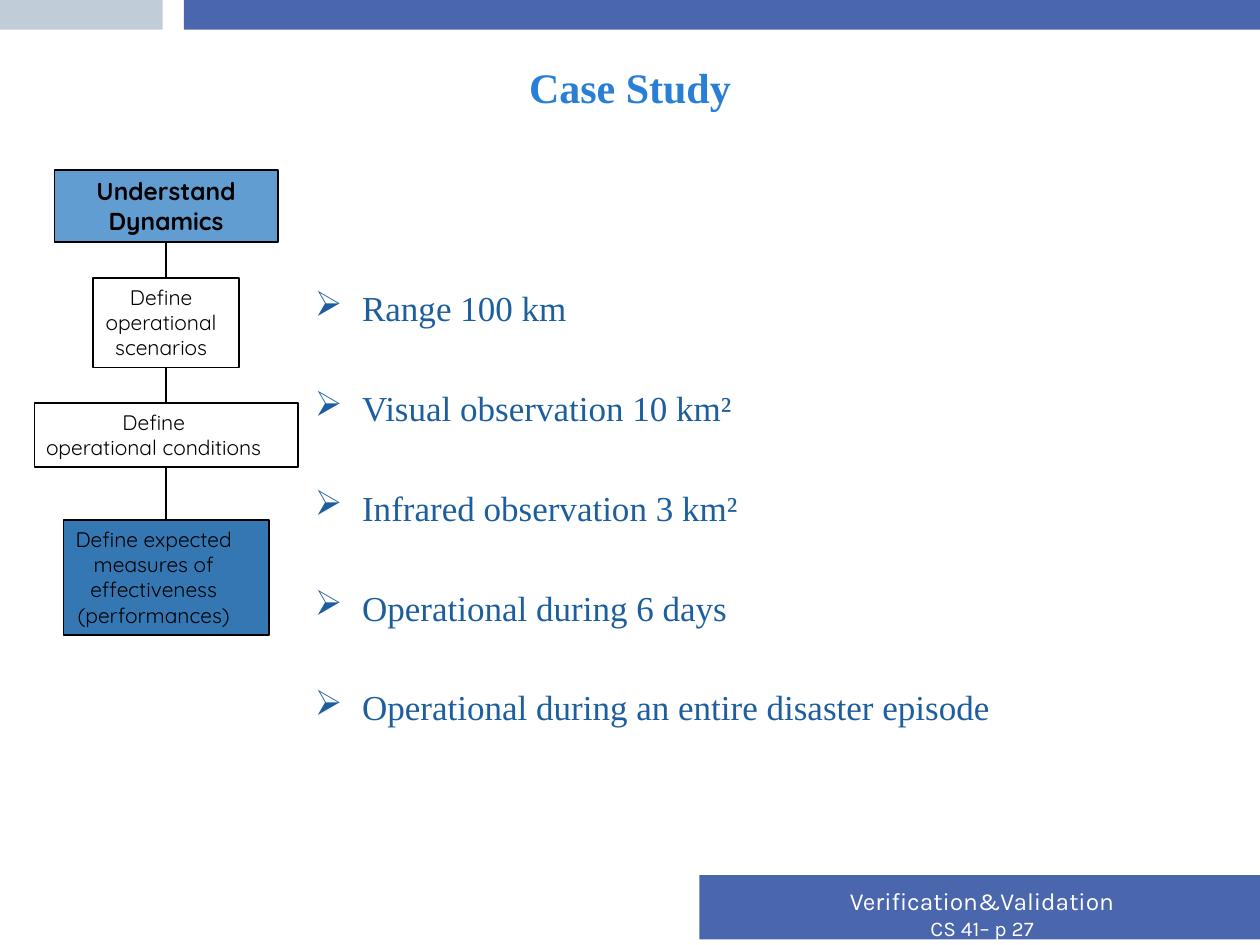
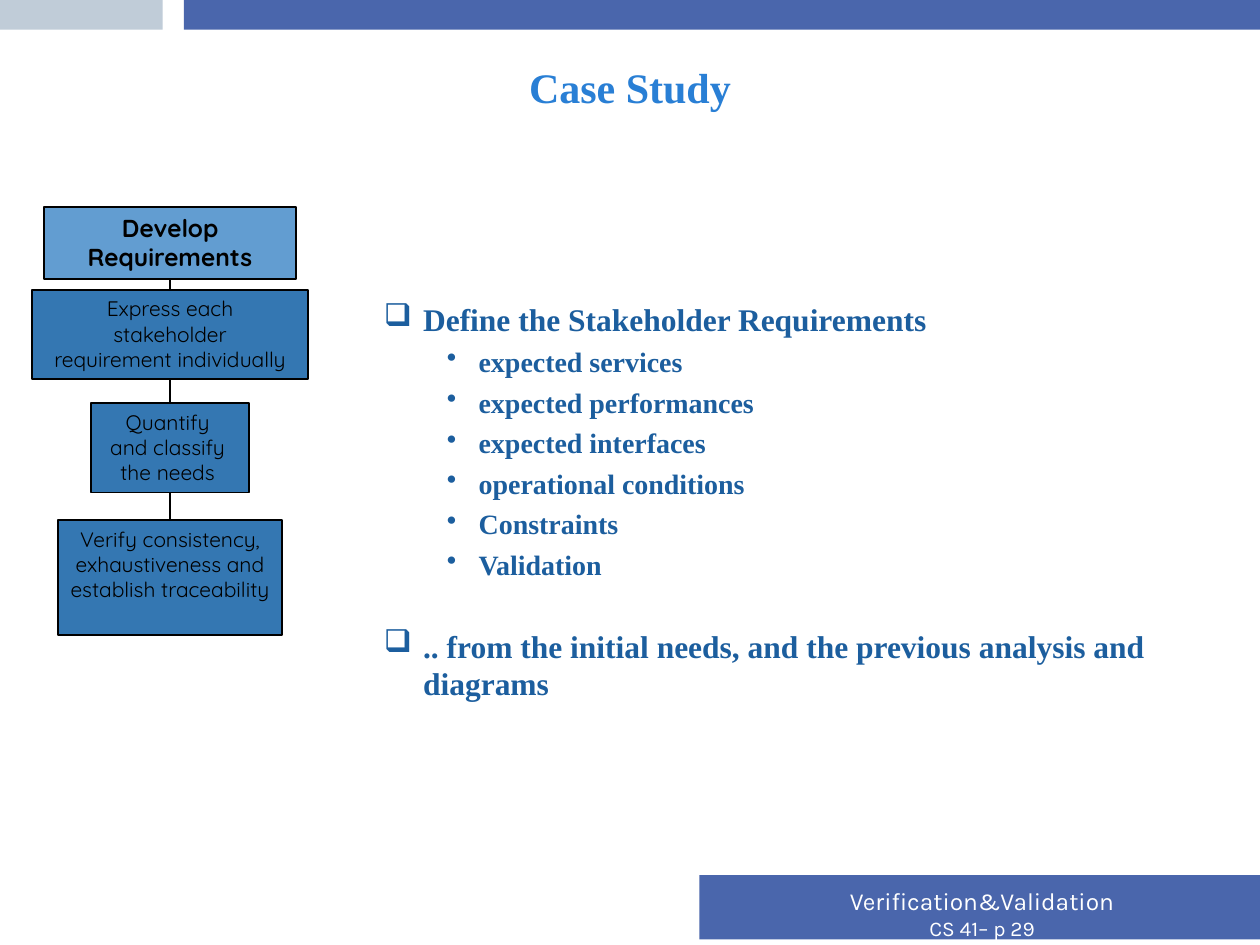
import pptx
import pptx.util
import pptx.dml.color
import pptx.enum.shapes
import pptx.enum.text
import pptx.oxml.ns
from lxml import etree

Cm, Pt = pptx.util.Cm, pptx.util.Pt
RGBColor = pptx.dml.color.RGBColor
CENTER = pptx.enum.text.PP_ALIGN.CENTER
RECT = pptx.enum.shapes.MSO_SHAPE.RECTANGLE
STRAIGHT = pptx.enum.shapes.MSO_CONNECTOR.STRAIGHT
qn = pptx.oxml.ns.qn

BAND = RGBColor(0x4A, 0x66, 0xAC)
GREY = RGBColor(0xC0, 0xCC, 0xD8)
TITLE = RGBColor(0x29, 0x7F, 0xD5)
BODY = RGBColor(0x1C, 0x5E, 0x9E)
HEAD = RGBColor(0x62, 0x9D, 0xD1)
ACTIVE = RGBColor(0x34, 0x77, 0xB2)
WHITE = RGBColor(0xFF, 0xFF, 0xFF)
BLACK = RGBColor(0, 0, 0)
SERIF = "Times New Roman"

# Bullet levels: sign, left indent, hanging indent (cm), size, bold
ARROW = ("➢", 0.95, 0.95, 20, False)
SQUARE = ("❑", 2.06, 0.79, 18, True)
DOT = ("•", 3.18, 0.64, 16, True)

# Flow boxes: text, width, top, height (cm), fill, shift of the text to the left
# Bullets: text, level, space before (pt)
slides = [
    {"page": 27, "axis": 3.35, "body": (6.1, 5.66),
     "flow": [
         ("Understand Dynamics", 4.5, 3.43, 1.45, HEAD, 0),
         ("Define\noperational\nscenarios", 2.95, 5.61, 1.8, WHITE, 0.1),
         ("Define\noperational conditions", 5.31, 8.13, 1.28, WHITE, 0.25),
         ("Define expected\nmeasures of\neffectiveness\n(performances)",
          4.14, 10.49, 2.31, ACTIVE, 0.25)],
     "bullets": [
         ("Range 100 km", ARROW, 0),
         ("Visual observation 10 km²", ARROW, 33),
         ("Infrared observation 3 km²", ARROW, 33),
         ("Operational during 6 days", ARROW, 33),
         ("Operational during an entire disaster episode", ARROW, 33)]},
    {"page": 29, "axis": 3.43, "body": (6.22, 5.92),
     "flow": [
         ("Develop Requirements", 5.08, 4.17, 1.45, HEAD, 0),
         ("Express each\nstakeholder\nrequirement individually", 5.56, 5.84, 1.8, ACTIVE, 0),
         ("Quantify\nand classify\nthe needs", 3.18, 8.13, 1.8, ACTIVE, 0.05),
         ("Verify consistency,\nexhaustiveness and establish traceability",
          4.52, 10.49, 2.31, ACTIVE, 0)],
     "bullets": [
         ("Define the Stakeholder Requirements", SQUARE, 0),
         ("expected services", DOT, 4),
         ("expected performances", DOT, 4),
         ("expected interfaces", DOT, 4),
         ("operational conditions", DOT, 4),
         ("Constraints", DOT, 4),
         ("Validation", DOT, 4),
         (".. from the initial needs, and the previous analysis and diagrams", SQUARE, 26)]},
]


def add_rect(s, x, y, w, h, fill, line=None):
    sp = s.shapes.add_shape(RECT, Cm(x), Cm(y), Cm(w), Cm(h))
    sp.shadow.inherit = False
    sp.fill.solid()
    sp.fill.fore_color.rgb = fill
    if line is None:
        sp.line.fill.background()
    else:
        sp.line.color.rgb = line
        sp.line.width = Pt(1)
    return sp


def style(p, font, size, color, bold=False):
    for r in p.runs:
        r.font.name = font
        r.font.size = Pt(size)
        r.font.color.rgb = color
        r.font.bold = bold


prs = pptx.Presentation()
prs.slide_width, prs.slide_height = Cm(25.4), Cm(19.05)

for content in slides:
    s = prs.slides.add_slide(prs.slide_layouts[6])

    # Bands
    add_rect(s, 3.71, 0, 21.69, 0.6, BAND)
    add_rect(s, 0, 0, 3.28, 0.6, GREY)
    add_rect(s, 14.1, 17.64, 11.3, 1.3, BAND)

    # Footer
    tf = s.shapes.add_textbox(Cm(14.1), Cm(17.73), Cm(11.4), Cm(1.37)).text_frame
    tf.word_wrap = True
    tf.text = f"Verification&Validation\nCS 41– p {content['page']}"
    for p, size in zip(tf.paragraphs, (14, 12)):
        p.alignment = CENTER
        style(p, "Karla", size, WHITE)

    # Title
    tf = s.shapes.add_textbox(Cm(1.27), Cm(0.76), Cm(22.86), Cm(1.96)).text_frame
    tf.word_wrap = True
    tf.vertical_anchor = pptx.enum.text.MSO_ANCHOR.MIDDLE
    tf.text = "Case Study"
    tf.paragraphs[0].alignment = CENTER
    style(tf.paragraphs[0], SERIF, 24, TITLE, True)

    # Bulleted text
    x, y = content["body"]
    tf = s.shapes.add_textbox(Cm(x), Cm(y), Cm(17.83), Cm(10.5)).text_frame
    tf.word_wrap = True
    tf.text = "\n".join(text for text, level, before in content["bullets"])
    for p, (text, level, before) in zip(tf.paragraphs, content["bullets"]):
        sign, left, hanging, size, bold = level
        pPr = p._p.get_or_add_pPr()
        pPr.set("marL", str(Cm(left)))
        pPr.set("indent", str(-Cm(hanging)))
        etree.SubElement(pPr, qn("a:buChar")).set("char", sign)
        if before:
            p.space_before = Pt(before)
        style(p, SERIF, size, BODY, bold)

    # Flow of boxes centred on one axis, each joined to the box above
    axis = content["axis"]
    bottom = None
    for text, w, top, h, fill, shift in content["flow"]:
        if bottom is not None:
            line = s.shapes.add_connector(STRAIGHT, Cm(axis), Cm(bottom), Cm(axis), Cm(top))
            line.line.color.rgb = BLACK
            line.line.width = Pt(1)
            etree.SubElement(line._element.spPr, qn("a:effectLst"))
        bottom = top + h
        tf = add_rect(s, axis - w / 2, top, w, h, fill, BLACK).text_frame
        tf.word_wrap = True
        tf.vertical_anchor = pptx.enum.text.MSO_ANCHOR.TOP
        tf.margin_left = Cm(0.13)
        tf.margin_right = Cm(0.13 + 2 * shift)
        tf.text = text
        for p in tf.paragraphs:
            p.alignment = CENTER
            style(p, "Quicksand", 14 if fill == HEAD else 12, BLACK, fill == HEAD)

prs.save("out.pptx")
